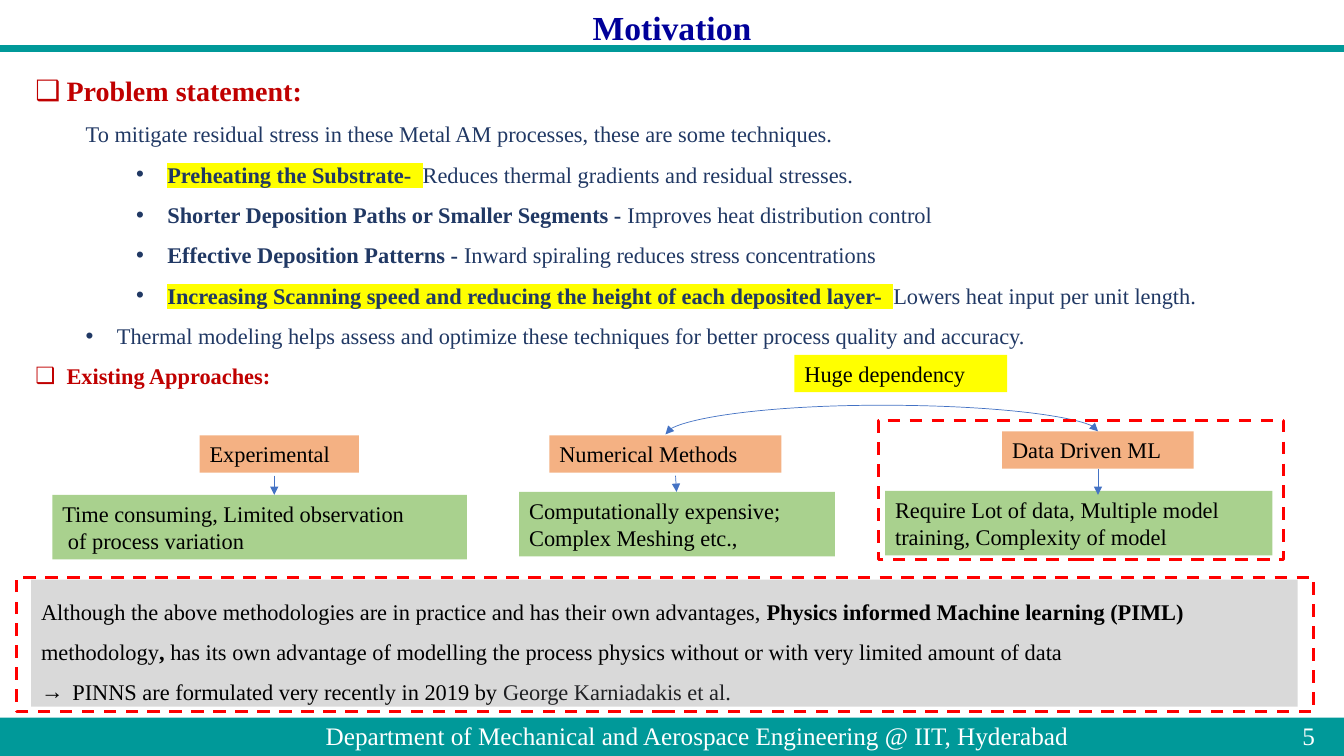
from lxml import etree
from pptx import Presentation
from pptx.dml.color import RGBColor
from pptx.enum.dml import MSO_LINE
from pptx.enum.shapes import MSO_CONNECTOR, MSO_SHAPE
from pptx.enum.text import MSO_ANCHOR, MSO_AUTO_SIZE, PP_ALIGN
from pptx.oxml.ns import qn
from pptx.util import Inches, Pt

RECT = MSO_SHAPE.RECTANGLE
LINE, CURVE = MSO_CONNECTOR.STRAIGHT, MSO_CONNECTOR.CURVE
TOP, MID, LOW = MSO_ANCHOR.TOP, MSO_ANCHOR.MIDDLE, MSO_ANCHOR.BOTTOM
LEFT, CENTER, JUST = PP_ALIGN.LEFT, PP_ALIGN.CENTER, PP_ALIGN.JUSTIFY
FIT_NONE = MSO_AUTO_SIZE.NONE
DASH = MSO_LINE.DASH

COLORS = {
    "teal": "009999", "white": "FFFFFF", "black": "000000", "title": "000099",
    "head": "C00000", "text": "203864", "mark": "FFFF00", "method": "F4B183",
    "limit": "A9D18E", "note": "D9D9D9", "author": "202124",
    "arrow": "4472C4", "frame": "FF0000",
}


def rgb(name):
    return RGBColor.from_string(COLORS[name])


def add(parent, tag, **attrs):
    return etree.SubElement(parent, qn(tag), attrs)


class Deck:
    """Holds the text style and the current slide."""

    font = {"name": "Times New Roman", "size": Pt(16), "bold": False}

    def __init__(self):
        self.prs = Presentation()
        self.prs.slide_width = Inches(13.33)
        self.prs.slide_height = Inches(7.5)
        self.slide = self.prs.slides.add_slide(self.prs.slide_layouts[1])

    def run(self, para, text, color="black", mark=None, **form):
        run = para.add_run()
        run.text = text
        for key, value in {**self.font, **form}.items():
            setattr(run.font, key, value)
        run.font.color.rgb = rgb(color)
        if mark:
            light = etree.Element(qn("a:highlight"))
            add(light, "a:srgbClr", val=COLORS[mark])
            run.font.fill._xPr.find(qn("a:solidFill")).addnext(light)

    def para(self, para, runs, left=0, hang=0, bullet=None, **form):
        props = para._p.get_or_add_pPr()
        props.set("marL", str(Inches(left)))
        props.set("indent", str(Inches(-hang)))
        if bullet:
            add(props, "a:buFont", typeface="Arial")
            add(props, "a:buChar", char=bullet)
        else:
            add(props, "a:buNone")
        base = {"alignment": LEFT, "line_spacing": 1.0, "space_before": Pt(0)}
        for key, value in {**base, **form}.items():
            setattr(para, key, value)
        for text, style in runs:
            self.run(para, text, **style)

    def fill(self, shape, paras, anchor=TOP):
        frame = shape.text_frame
        form = {"word_wrap": True, "auto_size": FIT_NONE, "vertical_anchor": anchor}
        for key, value in form.items():
            setattr(frame, key, value)
        for i, (runs, style) in enumerate(paras):
            para = frame.add_paragraph() if i else frame.paragraphs[0]
            self.para(para, runs, **style)

    def holder(self, index, area, paras):
        shape = self.slide.placeholders[index]
        for key, value in zip(("left", "top", "width", "height"), area):
            setattr(shape, key, Inches(value))
        self.fill(shape, paras)

    def label(self, area, paras, anchor=TOP):
        box = self.slide.shapes.add_textbox(*map(Inches, area))
        self.fill(box, paras, anchor)

    def box(self, area, color, paras, anchor=TOP):
        shape = self.slide.shapes.add_shape(RECT, *map(Inches, area))
        shape.shadow.inherit = False
        shape.fill.solid()
        shape.fill.fore_color.rgb = rgb(color)
        shape.line.fill.background()
        self.fill(shape, paras, anchor)

    def frame(self, area):
        shape = self.slide.shapes.add_shape(RECT, *map(Inches, area))
        shape.shadow.inherit = False
        shape.fill.background()
        shape.line.color.rgb = rgb("frame")
        shape.line.width = Pt(2.25)
        shape.line.dash_style = DASH

    def line(self, ends, color="arrow", width=0.5, kind=LINE, tips=("tailEnd",)):
        link = self.slide.shapes.add_connector(kind, *map(Inches, ends))
        link.line.color.rgb = rgb(color)
        link.line.width = Pt(width)
        for tip in tips:
            add(link.line._get_or_add_ln(), "a:" + tip, type="triangle")
        add(link._element.spPr, "a:effectLst")
        return link

    def arc(self, ends, bend):
        """Double arrow, turned a quarter so that it arches upward."""
        link = self.line(ends, kind=CURVE, tips=("headEnd", "tailEnd"))
        props = link._element.spPr
        props.find(qn("a:xfrm")).set("rot", str(90 * 60000))
        guides = props.find(qn("a:prstGeom")).get_or_add_avLst()
        add(guides, "a:gd", name="adj1", fmla=f"val {bend}")


def plain(*lines):
    return [([(text, {})], {}) for text in lines]


def point(lead, rest, **style):
    runs = [(lead, {"color": "text", "bold": True, **style}),
            (rest, {"color": "text"})]
    return runs, {"level": 2, "left": 1.31, "hang": 0.31, "bullet": "•",
                  "line_spacing": 1.5, "alignment": JUST}


def main():
    deck = Deck()

    # Header and footer bands
    deck.line((0, 0.48, 13.33, 0.48), "teal", 4.5, tips=())
    band = {"color": "white", "size": Pt(18)}
    deck.box((0, 7.12, 13.33, 0.38), "teal", [(
        [("Department of Mechanical and Aerospace Engineering @ IIT, Hyderabad", band)],
        {"level": 1, "left": 0.5, "line_spacing": 1.5, "alignment": CENTER})], LOW)
    deck.label((12.63, 7.1, 0.7, 0.4), [([("5", band)], {"alignment": CENTER})], MID)

    # Title and problem statement
    deck.holder(0, (0, 0.02, 13.33, 0.5), [(
        [("Motivation", {"color": "title", "size": Pt(24), "bold": True})],
        {"alignment": CENTER})])
    head = {"color": "head", "bold": True}
    check = {"left": 0.31, "hang": 0.31, "bullet": "❑"}
    blue = {"color": "text"}
    deck.holder(1, (0.25, 0.68, 12.83, 4.02), [
        ([("Problem statement:", {**head, "size": Pt(20)})], check),
        ([("To mitigate residual stress in these Metal AM processes, these are some techniques.", blue)],
         {"level": 1, "left": 0.5, "line_spacing": 1.5, "alignment": JUST}),
        point("Preheating the Substrate-  ",
              "Reduces thermal gradients and residual stresses.", mark="mark"),
        point("Shorter Deposition Paths or Smaller Segments - ",
              "Improves heat distribution control"),
        point("Effective Deposition Patterns - ",
              "Inward spiraling reduces stress concentrations"),
        point("Increasing Scanning speed and reducing the height of each deposited layer-  ",
              "Lowers heat input per unit length.", mark="mark"),
        ([("Thermal modeling helps assess and optimize these techniques"
           " for better process quality and accuracy.", blue)],
         {"level": 1, "left": 0.81, "hang": 0.31, "bullet": "•", "line_spacing": 1.5}),
        ([("Existing Approaches:", head)], {**check, "line_spacing": 1.5}),
    ])

    # Existing approaches: method, its limits and the arrow between
    ways = [
        ((1.98, 4.32, 1.58), ["Experimental"], (0.52, 4.91, 4.11),
         ["Time consuming, Limited observation", " of process variation"],
         (2.72, 4.72, 2.72, 4.91)),
        ((5.45, 4.32, 2.3), ["Numerical Methods"], (5.15, 4.88, 3.13),
         ["Computationally expensive; Complex Meshing etc.,"],
         (6.7, 4.72, 6.71, 4.88)),
        ((9.94, 4.28, 1.9), ["Data Driven ML"], (8.78, 4.87, 3.84),
         ["Require Lot of data, Multiple model training, Complexity of model"],
         (10.89, 4.65, 10.89, 4.91)),
    ]
    for spot, name, place, limits, ends in ways:
        deck.box((*spot, 0.37), "method", plain(*name))
        deck.box((*place, 0.64), "limit", plain(*limits))
        deck.line(ends)

    # Dependency between the last two methods
    deck.arc((8.76, 6.44, 8.73, 2.15), 967000)
    deck.box((7.88, 3.52, 2.11, 0.37), "mark", plain("Huge dependency"))

    # Closing note
    bold = {"bold": True}
    deck.box((0.31, 5.75, 12.56, 1.26), "note", [
        ([("Although the above methodologies are in practice and has their own advantages, ", {}),
          ("Physics informed Machine learning (PIML) ", bold),
          ("methodology", {}), (", ", bold),
          ("has its own advantage of modelling the process physics"
           " without or with very limited amount of data", {})], {"line_spacing": 1.5}),
        ([("PINNS are formulated very recently in 2019 by ", {}),
          ("George Karniadakis et al.", {"color": "author"})],
         {"left": 0.31, "hang": 0.31, "bullet": "→", "line_spacing": 1.5}),
    ])

    # Dashed frames
    for area in ((8.71, 4.17, 4.02, 1.38), (0.16, 5.73, 12.87, 1.33)):
        deck.frame(area)

    deck.prs.save("out.pptx")


if __name__ == "__main__":
    main()
